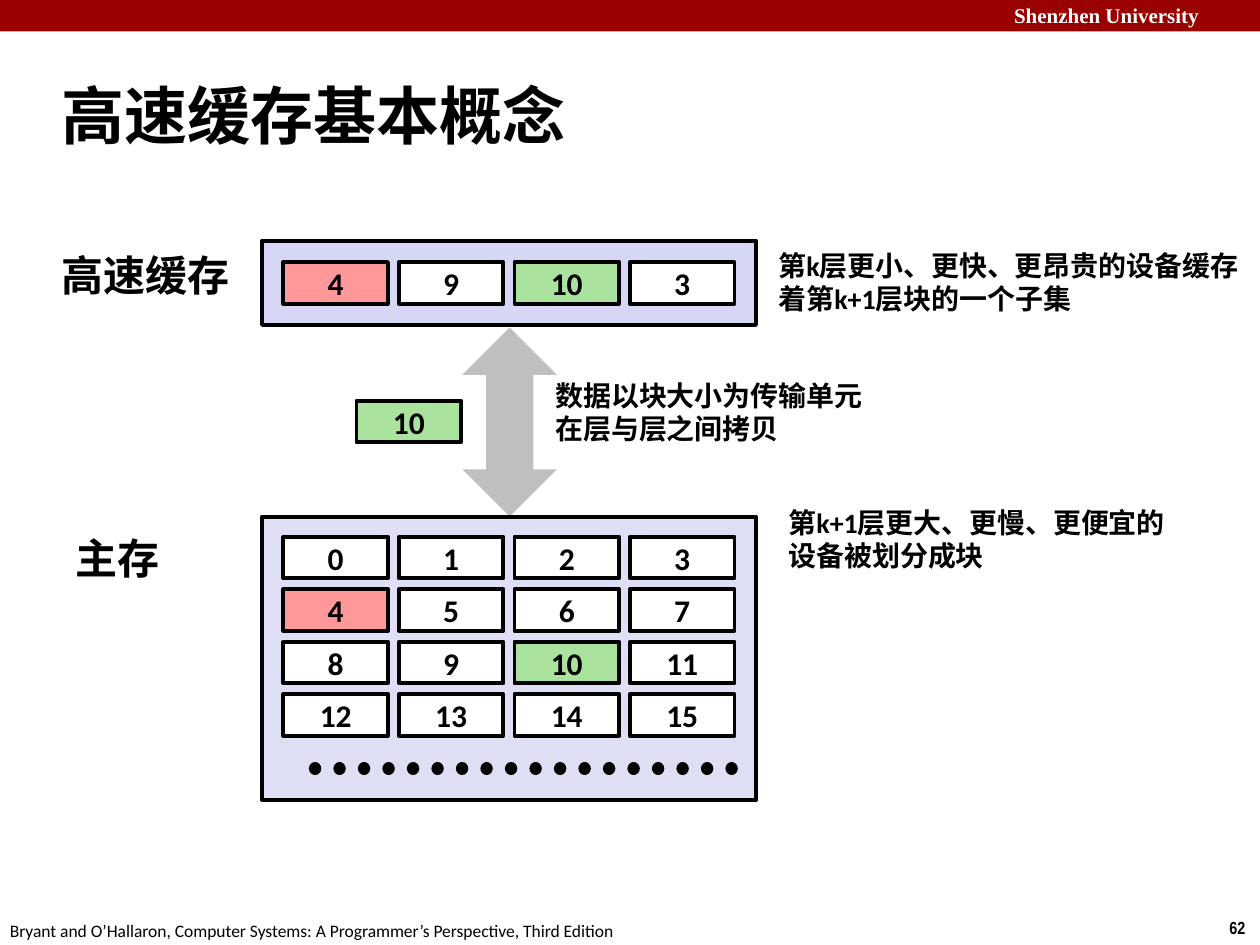
from lxml.etree import SubElement
from pptx import Presentation
from pptx.dml.color import RGBColor
from pptx.enum.dml import MSO_LINE
from pptx.enum.shapes import MSO_CONNECTOR, MSO_SHAPE
from pptx.enum.text import MSO_ANCHOR, PP_ALIGN
from pptx.oxml.ns import qn
from pptx.util import Inches, Pt

COLORS = {
    "black": "000000", "white": "FFFFFF", "banner": "990000", "arrow": "BFBFBF",
    "memory": "DEDFF5", "cache": "D6D6F5", "red": "FF9999", "green": "A9E39D",
}


def write(tf, text, size=18, font="Calibri", color="black", bold=True,
          align=PP_ALIGN.LEFT, anchor=MSO_ANCHOR.TOP, spacing=None, wrap=True):
    tf.word_wrap = wrap
    tf.vertical_anchor = anchor
    for i, line in enumerate(text.split("\n")):
        p = tf.add_paragraph() if i else tf.paragraphs[0]
        p.alignment = align
        p.line_spacing = spacing
        r = p.add_run()
        r.text = line
        r.font.size = Pt(size)
        r.font.name = font
        r.font.bold = bold
        r.font.color.rgb = RGBColor.from_string(COLORS[color])


def add_box(left, top, width, height, fill, shape=MSO_SHAPE.RECTANGLE, outline=True):
    sp = s.shapes.add_shape(shape, Inches(left), Inches(top), Inches(width), Inches(height))
    sp.shadow.inherit = False
    sp.fill.solid()
    sp.fill.fore_color.rgb = RGBColor.from_string(COLORS[fill])
    if outline:
        sp.line.color.rgb = RGBColor.from_string(COLORS["black"])
        sp.line.width = Pt(2.25)
    else:
        sp.line.fill.background()
    return sp


prs = Presentation()
prs.slide_width, prs.slide_height = Inches(10), Inches(7.5)
s = prs.slides.add_slide(prs.slide_layouts[5])

title = s.shapes.title
title.left, title.top = Inches(0.39), Inches(0.49)
title.width, title.height = Inches(8.3), Inches(0.83)
write(title.text_frame, "高速缓存基本概念", size=36, anchor=MSO_ANCHOR.MIDDLE)

add_box(0, 0, 10, 0.25, "banner", outline=False)
add_box(3.67, 2.6, 0.75, 1.5, "arrow", shape=MSO_SHAPE.UP_DOWN_ARROW, outline=False)
add_box(2.08, 4.1, 3.92, 2.25, "memory")
add_box(2.08, 1.91, 3.92, 0.67, "cache")

col_step, row_step = 2.75 / 3, 1.25 / 3
blocks = [(2.25 + col_step * (n % 4), 4.26 + row_step * (n // 4), n) for n in range(16)]
blocks += [(2.25 + col_step * i, 2.08, n) for i, n in enumerate([4, 9, 10, 3])]
blocks.append((2.83, 3.18, 10))
for left, top, number in blocks:
    fill = {4: "red", 10: "green"}.get(number, "white")
    sp = add_box(left, top, 0.83, 0.33, fill)
    write(sp.text_frame, str(number), align=PP_ALIGN.CENTER, anchor=MSO_ANCHOR.MIDDLE)

dots = s.shapes.add_connector(MSO_CONNECTOR.STRAIGHT, Inches(2.5), Inches(6.1), Inches(5.83), Inches(6.1))
dots.line.color.rgb = RGBColor.from_string(COLORS["black"])
dots.line.width = Pt(7)
dots.line.dash_style = MSO_LINE.ROUND_DOT
dots.line._get_or_add_ln().set("cap", "rnd")
SubElement(dots._element.spPr, qn("a:effectLst"))

label = dict(size=24, wrap=False)
note = dict(size=16, spacing=0.98, anchor=MSO_ANCHOR.MIDDLE)
texts = [
    (7.95, -0.03, 2.12, 0.3, "Shenzhen University", dict(size=12, font="Times New Roman", color="white")),
    (9.66, 7.23, 0.34, 0.27, "62", dict(size=10, font="Arial Narrow", wrap=False)),
    (-0.02, 7.25, 5.09, 0.27,
     "Bryant and O’Hallaron, Computer Systems: A Programmer’s Perspective, Third Edition",
     dict(size=10, bold=False, wrap=False)),
    (0.39, 1.93, 1.53, 0.5, "高速缓存", label),
    (0.5, 4.18, 0.87, 0.5, "主存", label),
    (6.16, 3.97, 3.19, 0.63, "第k+1层更大、更慢、更便宜的\n设备被划分成块", note),
    (4.31, 2.97, 3.1, 0.62, "数据以块大小为传输单元\n在层与层之间拷贝", note),
    (6.08, 1.93, 3.86, 0.63, "第k层更小、更快、更昂贵的设备缓存\n着第k+1层块的一个子集", note),
]
for left, top, width, height, text, style in texts:
    tb = s.shapes.add_textbox(Inches(left), Inches(top), Inches(width), Inches(height))
    write(tb.text_frame, text, **style)

prs.save("out.pptx")
